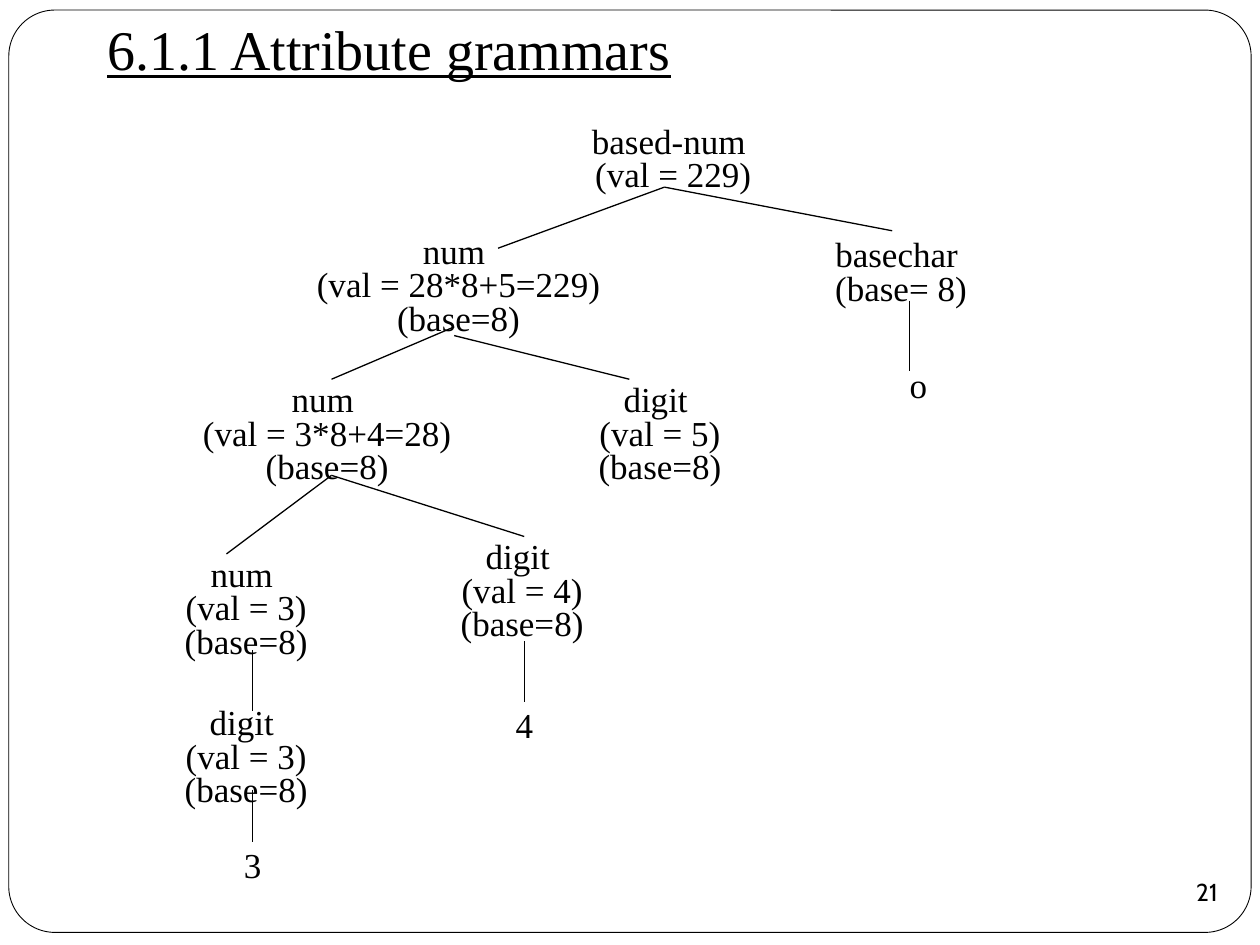
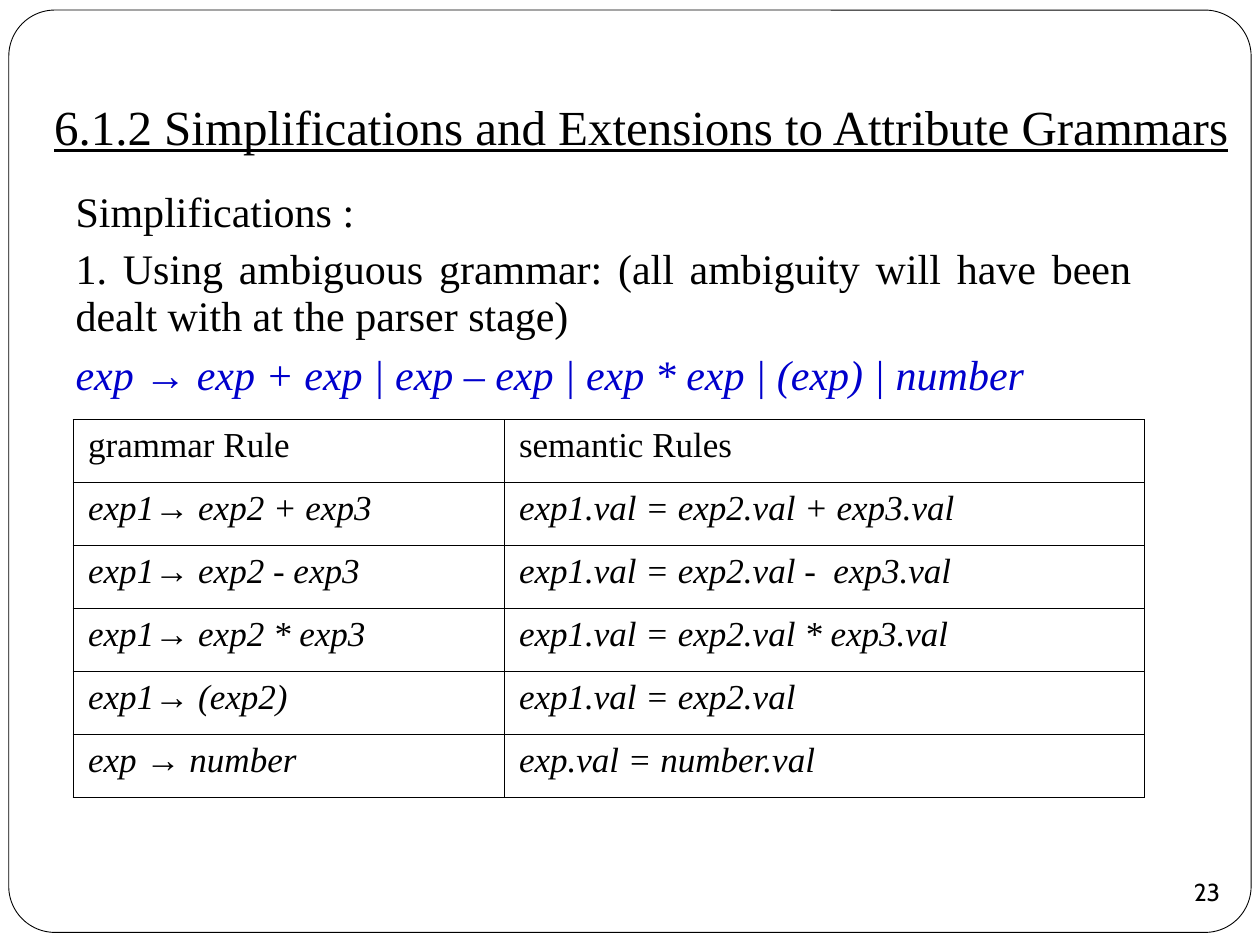
from dataclasses import dataclass
from typing import Any

from lxml import etree
from pptx import Presentation
from pptx import util as u
from pptx.dml.color import RGBColor
from pptx.enum import shapes, text
from pptx.oxml.ns import qn

COLORS = {"ink": "000000", "paper": "FFFFFF", "formula": "0000CC"}
SERIF, ARROW_FONT, NUMBER_FONT = "Times New Roman", "Arial", "Cabin"
ARROW = "→"

# The syntax tree sits on a fine grid, 84 columns by 88 rows
TREE_LEFT, TREE_TOP = 1.38, 1.0
COL, ROW = 5.84 / 84, 6.1 / 88
NODE_ROWS = {1: 6, 2: 8, 3: 11}


@dataclass(frozen=True)
class Box:
    left: float
    top: float
    width: float
    height: float

    def lengths(self) -> list[int]:
        return [u.Inches(n) for n in (self.left, self.top, self.width, self.height)]


@dataclass(frozen=True)
class Node:
    """A tree label; position and width in grid units."""
    col: float
    row: int
    cols: float
    lines: tuple[str, ...]


@dataclass(frozen=True)
class Branch:
    start: tuple[int, int]
    end: tuple[int, int]


NODES = [
    Node(46, 0, 22, ("based-num ", "(val = 229)")),
    Node(19, 13, 27, ("num ", "(val = 28*8+5=229)", "(base=8)")),
    Node(72, 13, 22, ("basechar ", "(base= 8)")),
    Node(4, 30, 27, ("num ", "(val = 3*8+4=28)", "(base=8)")),
    Node(42, 30, 27, ("digit ", "(val = 5)", "(base=8)")),
    Node(0.5, 50, 15.5, ("num ", "(val = 3)", "(base=8)")),
    Node(0.5, 67, 15.5, ("digit ", "(val = 3)", "(base=8)")),
    Node(5, 82, 8, ("3",)),
    Node(32, 48, 15.5, ("digit ", "(val = 4)", "(base=8)")),
    Node(36, 66, 8, ("4",)),
    Node(81, 27, 8, ("o",)),
]

BRANCHES = [
    Branch((56, 7), (37, 14)),
    Branch((56, 7), (82, 12)),
    Branch((32, 23), (18, 29)),
    Branch((32, 24), (52, 29)),
    Branch((18, 40), (6, 49)),
    Branch((18, 40), (40, 47)),
    Branch((9, 60), (9, 67)),
    Branch((9, 76), (9, 82)),
    Branch((40, 59), (40, 66)),
    Branch((84, 20), (84, 28)),
]

RULES = [
    ("grammar Rule", "semantic Rules"),
    ("exp1→ exp2 + exp3", "exp1.val = exp2.val + exp3.val"),
    ("exp1→ exp2 - exp3", "exp1.val = exp2.val -  exp3.val"),
    ("exp1→ exp2 * exp3", "exp1.val = exp2.val * exp3.val"),
    ("exp1→ (exp2)", "exp1.val = exp2.val"),
    ("exp → number", "exp.val = number.val"),
]


def set_all(target: Any, values: dict[str, Any]) -> None:
    for name, value in values.items():
        setattr(target, name, value)


def set_frame(frame: Any, anchor: Any, wrap: bool, insets: tuple[float, ...]) -> None:
    set_all(frame, {"auto_size": text.MSO_AUTO_SIZE.NONE, "vertical_anchor": anchor,
                    "word_wrap": wrap})
    sides = ("margin_left", "margin_top", "margin_right", "margin_bottom")
    set_all(frame, {side: u.Inches(inset) for side, inset in zip(sides, insets)})


def write(para: Any, words: str, size: float, color: str = "ink",
          font: str = SERIF, **styles: Any) -> None:
    """Add the words as runs, with each arrow in its own font."""
    before, arrow, after = words.partition(ARROW)
    for part, name in ((before, font), (arrow, ARROW_FONT), (after, font)):
        if part:
            span = para.add_run()
            span.text = part
            set_all(span.font, {"name": name, "size": u.Pt(size), **styles})
            span.font.color.rgb = RGBColor.from_string(COLORS[color])


def indent(para: Any, margin: float, first: float) -> None:
    props = para._p.get_or_add_pPr()
    props.set("marL", str(u.Inches(margin)))
    props.set("indent", str(u.Inches(first)))


def place(shape: Any, box: Box) -> None:
    set_all(shape, dict(zip(("left", "top", "width", "height"), box.lengths())))


def draw_line(line: Any, width: float) -> None:
    line.color.rgb = RGBColor.from_string(COLORS["ink"])
    line.width = u.Pt(width)


def add_master_frame(deck: Any, page: Any) -> None:
    """Draw the rounded frame, then move it to the master behind all slides."""
    frame = page.shapes.add_shape(shapes.MSO_SHAPE.ROUNDED_RECTANGLE,
                                  *Box(0.07, 0.08, 9.86, 7.32).lengths())
    frame.adjustments[0] = 0.05
    frame.shadow.inherit = False
    frame.fill.solid()
    frame.fill.fore_color.rgb = RGBColor.from_string(COLORS["paper"])
    draw_line(frame.line, 0.5)
    deck.slide_master.shapes.element.insert(2, frame.element)


def add_page(deck: Any, layout: int, title: str, box: Box, size: float, number: int) -> Any:
    page = deck.slides.add_slide(deck.slide_layouts[layout])
    heading = page.shapes.title
    place(heading, box)
    set_frame(heading.text_frame, text.MSO_ANCHOR.BOTTOM, True, (0.1, 0.05, 0.1, 0.1))
    para = heading.text_frame.paragraphs[0]
    para.alignment = text.PP_ALIGN.LEFT
    write(para, title, size, underline=True)

    badge = page.shapes.add_shape(shapes.MSO_SHAPE.OVAL, *Box(9.33, 6.83, 0.5, 0.5).lengths())
    badge.shadow.inherit = False
    badge.fill.background()
    badge.line.fill.background()
    set_frame(badge.text_frame, text.MSO_ANCHOR.MIDDLE, False, (0, 0, 0, 0))
    para = badge.text_frame.paragraphs[0]
    para.alignment = text.PP_ALIGN.CENTER
    write(para, str(number), 14, font=NUMBER_FONT)
    return page


def add_node(group: Any, node: Node) -> None:
    box = Box(TREE_LEFT + node.col * COL, TREE_TOP + node.row * ROW,
              node.cols * COL, NODE_ROWS[len(node.lines)] * ROW)
    frame = group.shapes.add_textbox(*box.lengths()).text_frame
    set_frame(frame, text.MSO_ANCHOR.MIDDLE, False, (0.1, 0.05, 0.1, 0.05))
    for i, line in enumerate(node.lines):
        para = frame.add_paragraph() if i else frame.paragraphs[0]
        set_all(para, {"alignment": text.PP_ALIGN.CENTER, "line_spacing": 0.8})
        write(para, line, 20)


def add_branch(group: Any, branch: Branch) -> None:
    ends = [u.Inches(length) for col, row in (branch.start, branch.end)
            for length in (TREE_LEFT + col * COL, TREE_TOP + row * ROW)]
    line = group.shapes.add_connector(shapes.MSO_CONNECTOR.STRAIGHT, *ends)
    draw_line(line.line, 0.75)
    etree.SubElement(line._element.spPr, qn("a:effectLst"))


def add_borders(cell: Any, width: float) -> None:
    props = cell._tc.get_or_add_tcPr()
    for i, side in enumerate(("a:lnL", "a:lnR", "a:lnT", "a:lnB")):
        edge = etree.Element(qn(side), w=str(u.Pt(width)))
        fill = etree.SubElement(edge, qn("a:solidFill"))
        etree.SubElement(fill, qn("a:srgbClr"), val=COLORS["ink"])
        props.insert(i, edge)


def add_rules(page: Any) -> None:
    table = page.shapes.add_table(len(RULES), 2, *Box(0.58, 3.33, 8.5, 3).lengths()).table
    set_all(table, {"first_row": False, "horz_banding": False})
    for column, width in zip(table.columns, (3.42, 5.08)):
        column.width = u.Inches(width)
    for r, row in enumerate(RULES):
        for c, words in enumerate(row):
            cell = table.cell(r, c)
            cell.fill.background()
            add_borders(cell, 0.45)
            set_all(cell, {"margin_left": u.Inches(0.12), "margin_right": u.Inches(0.12)})
            para = cell.text_frame.paragraphs[0]
            indent(para, 0.38, -0.38)
            write(para, words, 20, italic=r > 0)


def fill_body(page: Any) -> None:
    body = page.placeholders[1]
    place(body, Box(0.5, 1.5, 8.58, 1.92))
    frame = body.text_frame
    set_frame(frame, text.MSO_ANCHOR.TOP, True, (0.1, 0.05, 0.1, 0.05))
    left, justify = text.PP_ALIGN.LEFT, text.PP_ALIGN.JUSTIFY
    items = [
        ("Simplifications :", left, 0.8, {}),
        ("1. Using ambiguous grammar: (all ambiguity will have been dealt with "
         "at the parser stage)", justify, 0.95, {}),
        ("exp → exp + exp | exp – exp | exp * exp | (exp) | number", left, 0.95,
         {"color": "formula", "italic": True}),
    ]
    for i, (words, alignment, spacing, styles) in enumerate(items):
        para = frame.add_paragraph() if i else frame.paragraphs[0]
        indent(para, 0, 0)
        etree.SubElement(para._p.get_or_add_pPr(), qn("a:buNone"))
        set_all(para, {"alignment": alignment, "line_spacing": spacing,
                       "space_before": u.Pt(5.8 if i else 0)})
        write(para, words, 24, **styles)


def main() -> None:
    deck = Presentation()
    set_all(deck, {"slide_width": u.Inches(10), "slide_height": u.Inches(7.5)})

    tree_page = add_page(deck, 5, "6.1.1 Attribute grammars", Box(0.75, 0.25, 8.5, 0.5), 32, 21)
    add_master_frame(deck, tree_page)
    tree = tree_page.shapes.add_group_shape()
    for node in NODES:
        add_node(tree, node)
    for branch in BRANCHES:
        add_branch(tree, branch)

    rules_page = add_page(deck, 1, "6.1.2 Simplifications and Extensions to Attribute Grammars",
                          Box(0.33, 0.58, 9.58, 0.75), 28, 23)
    fill_body(rules_page)
    add_rules(rules_page)

    deck.save("out.pptx")


if __name__ == "__main__":
    main()
